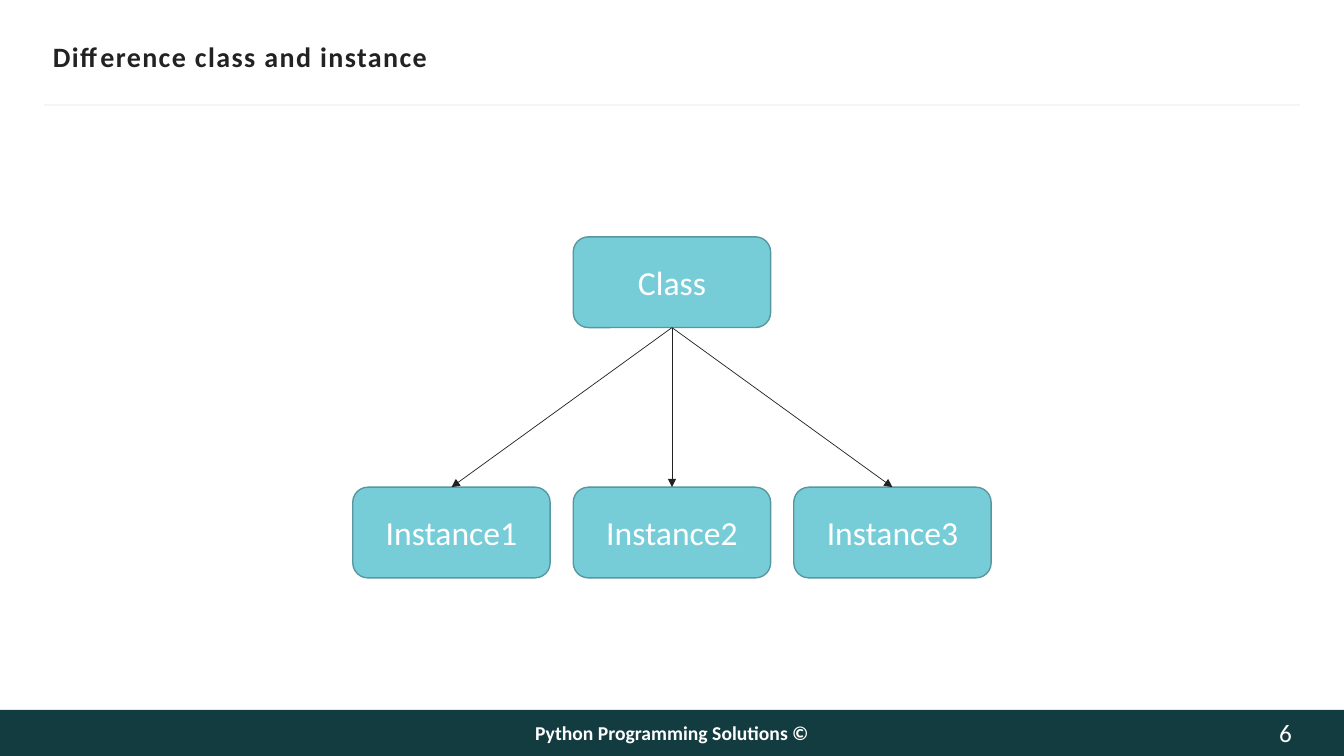
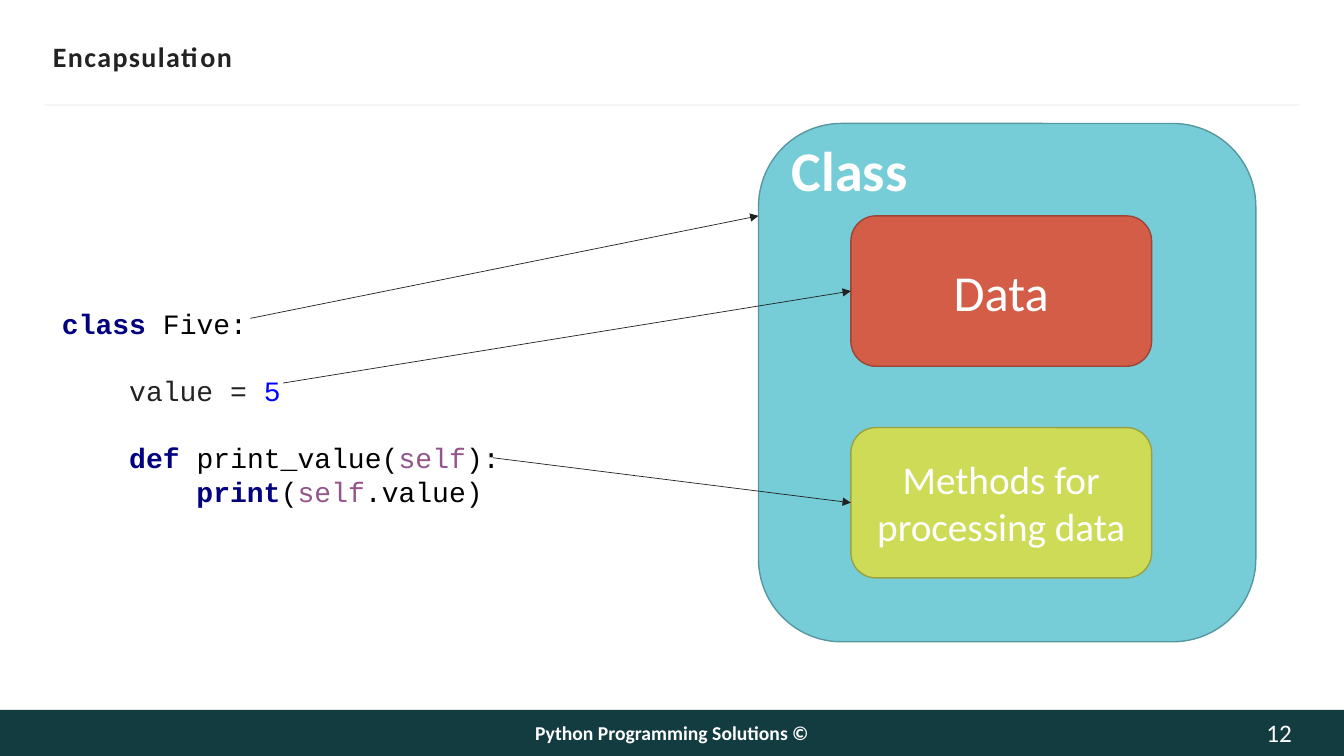
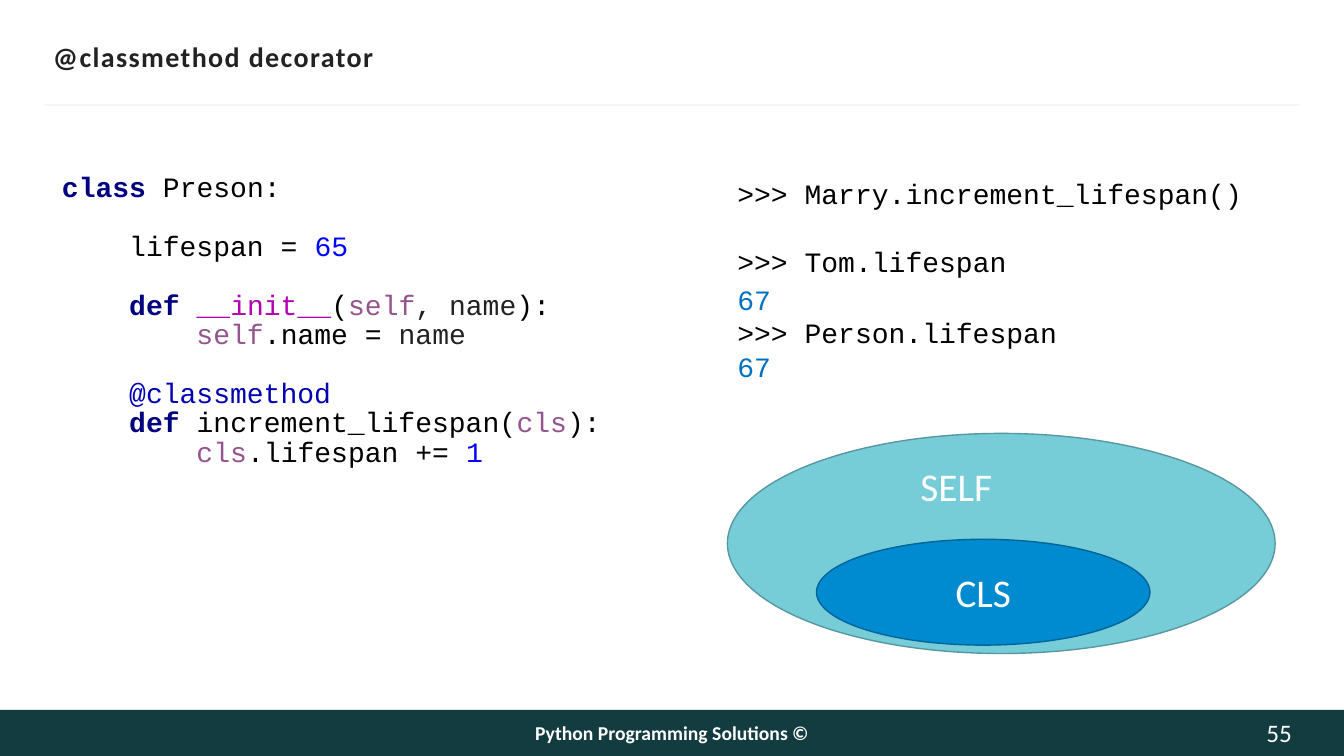
import pptx
import pptx.util
import pptx.dml.color
import pptx.enum.shapes
import pptx.enum.text
import pptx.oxml
import pptx.oxml.ns

Pt = pptx.util.Pt
SHAPE = pptx.enum.shapes.MSO_SHAPE
ANCHOR = pptx.enum.text.MSO_ANCHOR
ALIGN = pptx.enum.text.PP_ALIGN

# The slide is a grid of square cells
COLS, ROWS = 160, 90
CELL = pptx.util.Inches(7.5) / ROWS

COLORS = {
    "white": "FFFFFF", "ink": "222222", "black": "000000", "band": "133C41", "rule": "F5F5F5",
    "teal": "76CDD8", "teal_edge": "5798A0", "red": "D35D47", "red_edge": "9C4535",
    "lime": "CEDB56", "lime_edge": "98A240", "blue": "008ACF", "blue_edge": "006699",
    "page": "FEFEFE", "keyword": "000080", "number": "0000FF", "self": "94558D",
    "magic": "B200B2", "decorator": "0000B2", "output": "0070C0",
}
INSETS = (1.2, 0.6, 1.2, 0.6)

# Code listings: one list of (color, text) per line, an empty list for a gap
FIVE = [
    [("keyword", "class "), ("black", "Five:")],
    [],
    [("ink", "    value = "), ("number", "5")],
    [],
    [("keyword", "    def "), ("black", "print_value("), ("self", "self"), ("black", "):")],
    [("keyword", "        print"), ("black", "("), ("self", "self"), ("black", ".value)")],
]
PERSON = [
    [("keyword", "class "), ("black", "Preson:")],
    [],
    [("black", "    lifespan = "), ("number", "65")],
    [],
    [("keyword", "    def "), ("magic", "__init__"), ("black", "("), ("self", "self"),
     ("ink", ", name"), ("black", "):")],
    [("self", "        self"), ("black", ".name = "), ("ink", "name")],
    [],
    [("decorator", "    @classmethod")],
    [("keyword", "    def "), ("black", "increment_lifespan("), ("self", "cls"), ("black", "):")],
    [("self", "        cls"), ("black", ".lifespan += "), ("number", "1")],
]
CALLS = [
    [("black", ">>> Marry.increment_lifespan()")],
    [],
    [("black", ">>> Tom.lifespan")],
]
RESULTS = [
    [("output", "67")],
    [("black", ">>> Person.lifespan")],
    [("output", "67")],
]


def cells(*values):
    return [round(v * CELL) for v in values]


def rgb(name):
    return pptx.dml.color.RGBColor.from_string(COLORS[name])


def add_run(p, text, color, spacing=0, **fmt):
    r = p.add_run()
    r.text = text
    for key, value in {"name": "Calibri", "bold": False, **fmt}.items():
        setattr(r.font, key, value)
    r.font.color.rgb = rgb(color)
    if spacing:
        r._r.get_or_add_rPr().set("spc", str(spacing * 100))


def set_frame(sp, anchor, insets=INSETS):
    tf = sp.text_frame
    left, top, right, bottom = cells(*insets)
    values = {"word_wrap": True, "vertical_anchor": anchor, "margin_left": left,
              "margin_top": top, "margin_right": right, "margin_bottom": bottom}
    for key, value in values.items():
        setattr(tf, key, value)
    return tf


def add_text(s, box, text, size, color="white", align=ALIGN.LEFT, anchor=ANCHOR.MIDDLE,
             insets=INSETS, **fmt):
    tf = set_frame(s.shapes.add_textbox(*cells(*box)), anchor, insets)
    p = tf.paragraphs[0]
    p.alignment = align
    add_run(p, text, color, size=Pt(size), **fmt)


def add_block(s, kind, box, fill, edge=None, text="", size=24):
    sp = s.shapes.add_shape(kind, *cells(*box))
    sp.shadow.inherit = False
    sp.fill.solid()
    sp.fill.fore_color.rgb = rgb(fill)
    if edge:
        sp.line.color.rgb = rgb(edge)
        sp.line.width = Pt(1)
    else:
        sp.line.fill.background()
    if text:
        p = set_frame(sp, ANCHOR.MIDDLE).paragraphs[0]
        p.alignment = ALIGN.CENTER
        add_run(p, text, "white", size=Pt(size))


def add_line(s, start, end, color="ink", width=0.5, arrow=True):
    sp = s.shapes.add_connector(pptx.enum.shapes.MSO_CONNECTOR.STRAIGHT, *cells(*start, *end))
    sp.line.color.rgb = rgb(color)
    sp.line.width = Pt(width)
    if arrow:
        head = pptx.oxml.parse_xml('<a:tailEnd %s type="triangle"/>' % pptx.oxml.ns.nsdecls("a"))
        sp._element.spPr.find(pptx.oxml.ns.qn("a:ln")).append(head)
    sp._element.spPr.append(pptx.oxml.parse_xml("<a:effectLst %s/>" % pptx.oxml.ns.nsdecls("a")))


def add_code(s, box, lines, pitch=None, anchor=ANCHOR.MIDDLE):
    tf = set_frame(s.shapes.add_textbox(*cells(*box)), anchor)
    p, gap = None, 0
    for line in lines:
        if not line:
            gap += pitch or 24
            continue
        p = tf.add_paragraph() if p else tf.paragraphs[0]
        if gap:
            p.space_before = Pt(gap)
        if pitch:
            p.line_spacing = Pt(pitch)
        for color, text in line:
            add_run(p, text, color, name="Courier New", size=Pt(20), bold=color == "keyword")
        gap = 0


def new_slide(prs, title, number):
    """Title, rule and footer band shared by all slides."""
    s = prs.slides.add_slide(prs.slide_layouts[6])
    band_top, band_h = 84.5, 5.5
    add_block(s, SHAPE.RECTANGLE, (0, band_top, COLS, band_h), "band")
    add_line(s, (5.2, 12.5), (COLS - 5.2, 12.5), "rule", 1.5, arrow=False)
    add_text(s, (6.3, 4, 147.5, 5.3), title, 20, "ink", insets=(0, 0.6, 0, 0.6),
             bold=True, spacing=1)
    add_text(s, (42, band_top, 76, band_h), "Python Programming Solutions ©", 14,
             align=ALIGN.CENTER, bold=True)
    add_text(s, (145.8, band_top, 8, band_h), str(number), 18, "page",
             align=ALIGN.RIGHT, insets=(0, 0, 0, 0))
    return s


def instance_tree(s, box, root, leaves):
    """A root node above a row of evenly spaced leaves."""
    x, y, w, h = box
    node_w, node_h = 23.5, 10.8
    step = (w - node_w) / (len(leaves) - 1)
    mid, leaf_top = x + w / 2, y + h - node_h
    add_block(s, SHAPE.ROUNDED_RECTANGLE, (mid - node_w / 2, y, node_w, node_h),
              "teal", "teal_edge", root)
    for i, leaf in enumerate(leaves):
        left = x + i * step
        add_block(s, SHAPE.ROUNDED_RECTANGLE, (left, leaf_top, node_w, node_h),
                  "teal", "teal_edge", leaf)
        add_line(s, (mid, y + node_h), (left + node_w / 2, leaf_top))


def class_capsule(s, box):
    """Class box with its two parts; returns the points arrows lead to."""
    x, y, w, h = box
    pad, part_w, part_h = 11, 35.8, 17.9
    add_block(s, SHAPE.ROUNDED_RECTANGLE, box, "teal", "teal_edge")
    add_text(s, (x + 2.8, y + 0.9, 18, 9.2), "Class", 40, anchor=ANCHOR.TOP, bold=True)
    targets = [(x, y + pad)]
    parts = [("Data", 36, "red", pad), ("Methods for processing data", 28, "lime", 36.2)]
    for text, size, color, top in parts:
        add_block(s, SHAPE.ROUNDED_RECTANGLE, (x + pad, y + top, part_w, part_h),
                  color, color + "_edge", text, size)
        targets.append((x + pad, y + top + part_h / 2))
    return targets


def scope_ellipses(s, box):
    """CLS scope nested inside SELF scope."""
    x, y, w, h = box
    add_block(s, SHAPE.OVAL, box, "teal", "teal_edge")
    add_block(s, SHAPE.OVAL, (x + 10.6, y + 12.6, 39.7, 12.6), "blue", "blue_edge", "CLS", 28)
    add_text(s, (x + 21.8, y + 2.8, 12.6, 6.8), "SELF", 28, anchor=ANCHOR.TOP)


def main():
    prs = pptx.Presentation()
    prs.slide_width, prs.slide_height = cells(COLS, ROWS)

    # Class and its instances
    s = new_slide(prs, "Difference class and instance", 6)
    instance_tree(s, (42, 28.2, 76, 40.6), "Class", ["Instance1", "Instance2", "Instance3"])

    # Code lines pointing at the parts of a class
    s = new_slide(prs, "Encapsulation", 12)
    x, y = 6.2, 35.8
    add_code(s, (x, y, 55.2, 25.4), FIVE)
    targets = class_capsule(s, (90.3, 14.7, 59.2, 61.7))
    line_ends = [(23.6, 2.1), (27.5, 9.8), (52.5, 18.7)]
    for (dx, dy), target in zip(line_ends, targets):
        add_line(s, (x + dx, y + dy), target)

    # Class method with its console output
    s = new_slide(prs, "@classmethod decorator", 55)
    right = 86.6
    add_code(s, (x, 19.9, 67.4, 36.6), PERSON, pitch=21)
    add_code(s, (right, 20.4, 63, 13.3), CALLS)
    add_code(s, (right, 33, 42, 13.3), RESULTS, anchor=ANCHOR.TOP)
    scope_ellipses(s, (right, 51.6, 65.2, 26.2))

    prs.save("out.pptx")


if __name__ == "__main__":
    main()
